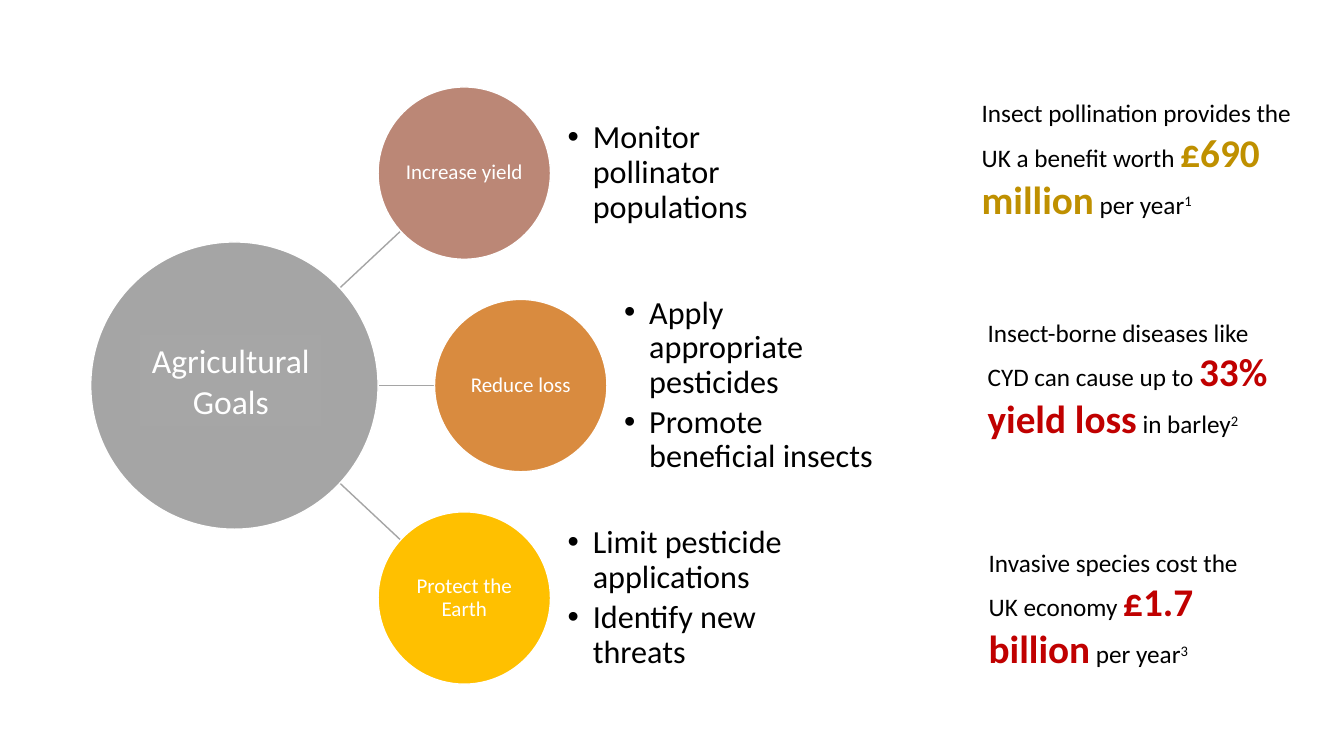
"""Build a slide linking agricultural goals to actions and their costs."""
from dataclasses import dataclass

from lxml.etree import SubElement
from pptx import Presentation
from pptx.dml.color import RGBColor
from pptx.enum.shapes import MSO_CONNECTOR, MSO_SHAPE
from pptx.enum.text import MSO_ANCHOR, MSO_AUTO_SIZE, PP_ALIGN
from pptx.oxml.ns import qn
from pptx.util import Emu, Inches, Pt

WIDTH, HEIGHT = Inches(13.333), Inches(7.5)
COLORS = {
    "hub": "A5A5A5", "label": "A6A6A6", "yield": "BB8776", "loss": "D98B3F",
    "earth": "FFC000", "gain": "BF9000", "cost": "C00000",
    "black": "000000", "white": "FFFFFF",
}
MIDDLE_ROW, ROW_STEP = 51, 28.1
GOAL_WIDTH, GOAL_HEIGHT = 12.83, 22.8
HUB_WIDTH, HUB_HEIGHT = 21.38, 38
LIST_OFFSET, LIST_WIDTH = 14.1, 19.2
SPOKE_START, SPOKE_RISE, SPOKE_REACH = 24.9, 12.27, 20.5


@dataclass
class Goal:
    name: str
    color: str
    left: float
    spoke_end: float
    actions: list[str]


@dataclass
class Fact:
    left: float
    top: float
    width: float
    lead: str
    figure: str
    color: str
    ending: str
    reference: str


GOALS = [
    Goal("Increase yield", "yield", 28.13, 29.85, ["Monitor pollinator populations"]),
    Goal("Reduce loss", "loss", 32.33, 32.33,
         ["Apply appropriate pesticides", "Promote beneficial insects"]),
    Goal("Protect the Earth", "earth", 28.13, 29.85,
         ["Limit pesticide applications", "Identify new threats"]),
]
FACTS = [
    Fact(72.3, 12.27, 26.1, "Insect pollination provides the UK a benefit worth ",
         "£690 million", "gain", " per year", "1"),
    Fact(72.75, 41.33, 22.5, "Insect-borne diseases like CYD can cause up to ",
         "33% yield loss", "cost", " in barley", "2"),
    Fact(72.83, 71.73, 22.5, "Invasive species cost the UK economy ",
         "£1.7 billion", "cost", " per year", "3"),
]


def across(share: float) -> Emu:
    return Emu(round(WIDTH * share / 100))


def down(share: float) -> Emu:
    return Emu(round(HEIGHT * share / 100))


def area(left: float, top: float, width: float, height: float) -> tuple:
    return across(left), down(top), across(width), down(height)


def rgb(color: str) -> RGBColor:
    return RGBColor.from_string(COLORS[color])


def apply(target, formats: dict) -> None:
    for attribute, value in formats.items():
        setattr(target, attribute, value)


def add_run(paragraph, wording: str, size: float, color: str, bold: bool = False):
    run = paragraph.add_run()
    run.text = wording
    apply(run.font, {"name": "Calibri", "size": Pt(size), "bold": bold})
    run.font.color.rgb = rgb(color)
    return run


def set_frame(frame, margin: float, anchor: MSO_ANCHOR) -> None:
    apply(frame, {
        "word_wrap": True, "auto_size": MSO_AUTO_SIZE.NONE, "vertical_anchor": anchor,
        "margin_left": Inches(margin), "margin_right": Inches(margin),
        "margin_top": Inches(margin), "margin_bottom": Inches(margin),
    })


def add_filled(slide, preset: MSO_SHAPE, place: tuple, color: str, outlined: bool):
    filled = slide.shapes.add_shape(preset, *place)
    filled.shadow.inherit = False
    filled.fill.solid()
    filled.fill.fore_color.rgb = rgb(color)
    if outlined:
        filled.line.color.rgb = rgb("white")
        filled.line.width = Pt(1)
    else:
        filled.line.fill.background()
    return filled


def add_caption(holder, wording: str, size: float, margin: float, spacing: float) -> None:
    set_frame(holder.text_frame, margin, MSO_ANCHOR.MIDDLE)
    paragraph = holder.text_frame.paragraphs[0]
    apply(paragraph, {"alignment": PP_ALIGN.CENTER, "line_spacing": spacing})
    add_run(paragraph, wording, size, "white")


def add_spoke(slide, goal: Goal, row: int) -> None:
    spoke = slide.shapes.add_connector(
        MSO_CONNECTOR.STRAIGHT,
        across(SPOKE_START), down(MIDDLE_ROW + row * SPOKE_RISE),
        across(goal.spoke_end), down(MIDDLE_ROW + row * SPOKE_REACH))
    spoke.line.color.rgb = rgb("hub")
    spoke.line.width = Pt(1)
    SubElement(spoke._element.spPr, qn("a:effectLst"))


def add_goal(slide, goal: Goal, row: int, actions_holder) -> None:
    top = MIDDLE_ROW + row * ROW_STEP - GOAL_HEIGHT / 2
    circle = add_filled(slide, MSO_SHAPE.OVAL,
                        area(goal.left, top, GOAL_WIDTH, GOAL_HEIGHT), goal.color, True)
    add_caption(circle, goal.name, 15, 0.01, 0.9)

    place = area(goal.left + LIST_OFFSET, top, LIST_WIDTH, GOAL_HEIGHT)
    apply(actions_holder, dict(zip(("left", "top", "width", "height"), place)))
    frame = actions_holder.text_frame
    set_frame(frame, 0, MSO_ANCHOR.MIDDLE)
    for index, action in enumerate(goal.actions):
        paragraph = frame.add_paragraph() if index else frame.paragraphs[0]
        apply(paragraph, {"line_spacing": 0.9, "space_before": Pt(0),
                          "space_after": Pt(3.5), "alignment": PP_ALIGN.LEFT})
        properties = paragraph._p.get_or_add_pPr()
        properties.set("marL", str(Inches(0.25)))
        properties.set("indent", str(-Inches(0.25)))
        SubElement(properties, qn("a:buFont"), typeface="Arial")
        SubElement(properties, qn("a:buChar"), char="•")
        add_run(paragraph, action, 23, "black")


def add_fact(slide, fact: Fact) -> None:
    note = slide.shapes.add_textbox(*area(fact.left, fact.top, fact.width, 18))
    note.text_frame.word_wrap = True
    paragraph = note.text_frame.paragraphs[0]
    add_run(paragraph, fact.lead, 18, "black")
    add_run(paragraph, fact.figure, 28, fact.color, True)
    add_run(paragraph, fact.ending, 18, "black")
    reference = add_run(paragraph, fact.reference, 18, "black")
    reference.font._element.set("baseline", "30000")


def main() -> None:
    presentation = Presentation()
    apply(presentation, {"slide_width": WIDTH, "slide_height": HEIGHT})
    slide = presentation.slides.add_slide(presentation.slide_layouts.get_by_name("Comparison"))
    title, *holders = slide.placeholders
    action_holders, spares = holders[:len(GOALS)], holders[len(GOALS):]
    for unused in (title, *spares):
        unused._element.getparent().remove(unused._element)

    for row, goal in enumerate(GOALS, start=-1):
        add_spoke(slide, goal, row)
    add_filled(slide, MSO_SHAPE.OVAL,
               area(6.75, MIDDLE_ROW - HUB_HEIGHT / 2, HUB_WIDTH, HUB_HEIGHT), "hub", True)
    for row, (goal, holder) in enumerate(zip(GOALS, action_holders), start=-1):
        add_goal(slide, goal, row, holder)
    hub_label = add_filled(slide, MSO_SHAPE.RECTANGLE,
                           area(10.43, 44.27, 13.5, 12.13), "label", False)
    add_caption(hub_label, "Agricultural Goals", 24, 0.05, 1.0)
    for fact in FACTS:
        add_fact(slide, fact)
    presentation.save("out.pptx")


if __name__ == "__main__":
    main()
